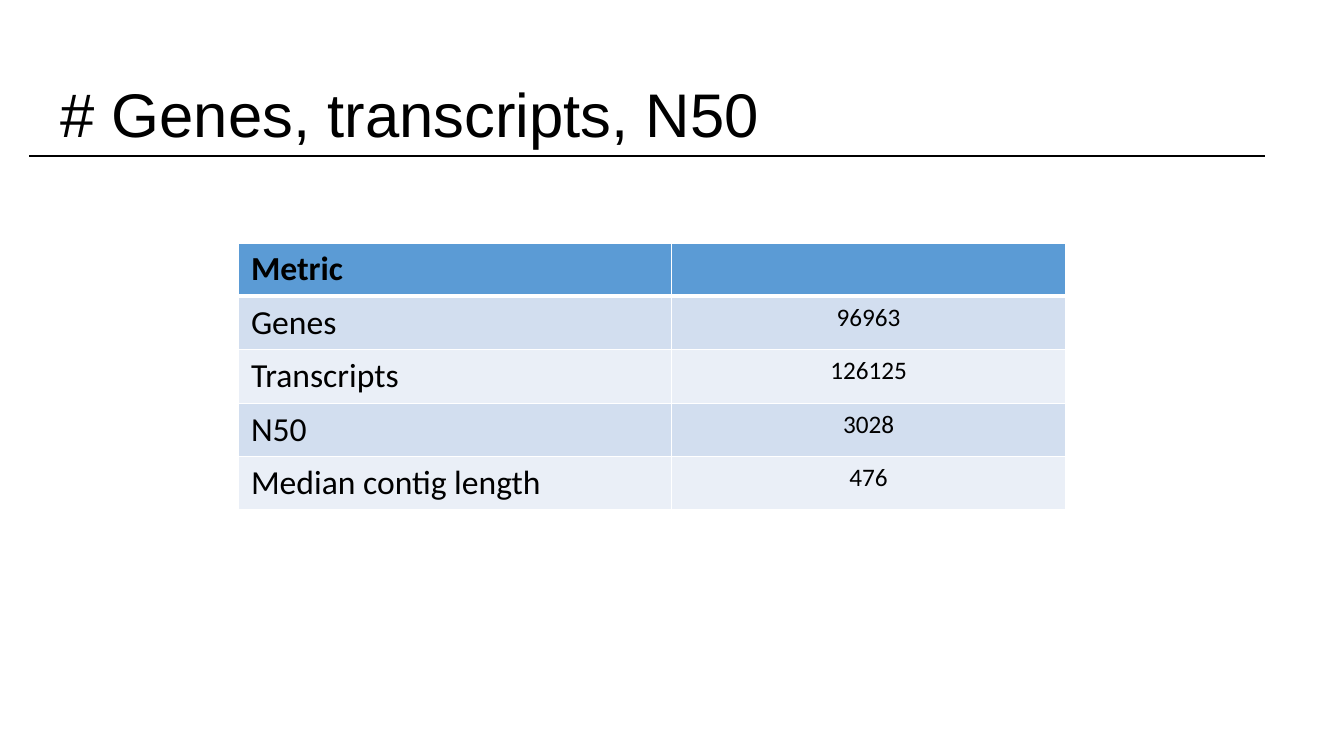
from lxml import etree
from pptx import Presentation
from pptx.dml.color import RGBColor
from pptx.enum.shapes import MSO_CONNECTOR
from pptx.enum.text import MSO_ANCHOR, PP_ALIGN
from pptx.oxml.ns import qn
from pptx.util import Inches, Pt

STRAIGHT = MSO_CONNECTOR.STRAIGHT
BOTTOM = MSO_ANCHOR.BOTTOM
LEFT, CENTER = PP_ALIGN.LEFT, PP_ALIGN.CENTER

BLACK, WHITE = "000000", "FFFFFF"
HEADER, BANDS = "5B9BD5", ("EAEFF7", "D2DEEF")
METRICS = [
    ("Metric", ""),
    ("Genes", "96963"),
    ("Transcripts", "126125"),
    ("N50", "3028"),
    ("Median contig length", "476"),
]
COLUMN_WIDTHS = (4.3, 3.91)
ROW_HEIGHT = 0.53


def rgb(color):
    return RGBColor.from_string(color)


def add_border(cell, side, width):
    border = etree.SubElement(cell._tc.get_or_add_tcPr(), qn(f"a:{side}"), w=str(Pt(width)))
    fill = etree.SubElement(border, qn("a:solidFill"))
    etree.SubElement(fill, qn("a:srgbClr"), val=WHITE)


prs = Presentation()
prs.slide_width, prs.slide_height = Inches(13.33), Inches(7.5)
slide = prs.slides.add_slide(prs.slide_layouts[5])

# Title
title = slide.shapes.title
title.left, title.top = Inches(0.5), Inches(0.3)
title.width, title.height = Inches(11.8), Inches(1.25)
title.text_frame.text = "# Genes, transcripts, N50"
title.text_frame.vertical_anchor = BOTTOM
heading = title.text_frame.paragraphs[0]
heading.alignment = LEFT
heading.line_spacing = 0.9
heading.runs[0].font.name = "Arial"
heading.runs[0].font.size = Pt(44)
heading.runs[0].font.color.rgb = rgb(BLACK)

# Rule under the title
rule = slide.shapes.add_connector(
    STRAIGHT, Inches(0.29), Inches(1.55), Inches(12.55), Inches(1.55))
rule.line.color.rgb = rgb(BLACK)
rule.line.width = Pt(1.5)
etree.SubElement(rule._element.spPr, qn("a:effectLst"))

# Assembly metrics
metrics = slide.shapes.add_table(
    len(METRICS), len(COLUMN_WIDTHS), Inches(2.36), Inches(2.41),
    Inches(sum(COLUMN_WIDTHS)), Inches(ROW_HEIGHT * len(METRICS))).table
for column, width in zip(metrics.columns, COLUMN_WIDTHS):
    column.width = Inches(width)

for r, row in enumerate(METRICS):
    metrics.rows[r].height = Inches(ROW_HEIGHT)
    for c, wording in enumerate(row):
        cell = metrics.cell(r, c)
        cell.margin_left = cell.margin_right = Inches(0.13)
        cell.margin_top = cell.margin_bottom = Inches(0.06)

        # Thin white grid with a thick line below the header
        for side in ("lnL", "lnR", "lnT", "lnB"):
            below_header = (r, side) in ((0, "lnB"), (1, "lnT"))
            add_border(cell, side, 3 if below_header else 1)
        cell.fill.solid()
        cell.fill.fore_color.rgb = rgb(BANDS[r % 2] if r else HEADER)

        cell.text_frame.text = wording
        paragraph = cell.text_frame.paragraphs[0]
        paragraph.alignment = CENTER if c else LEFT
        for run in paragraph.runs:
            run.font.name = "Calibri"
            run.font.size = Pt(18 if c else 24)
            run.font.bold = r == 0
            run.font.color.rgb = rgb(BLACK)

prs.save("out.pptx")
